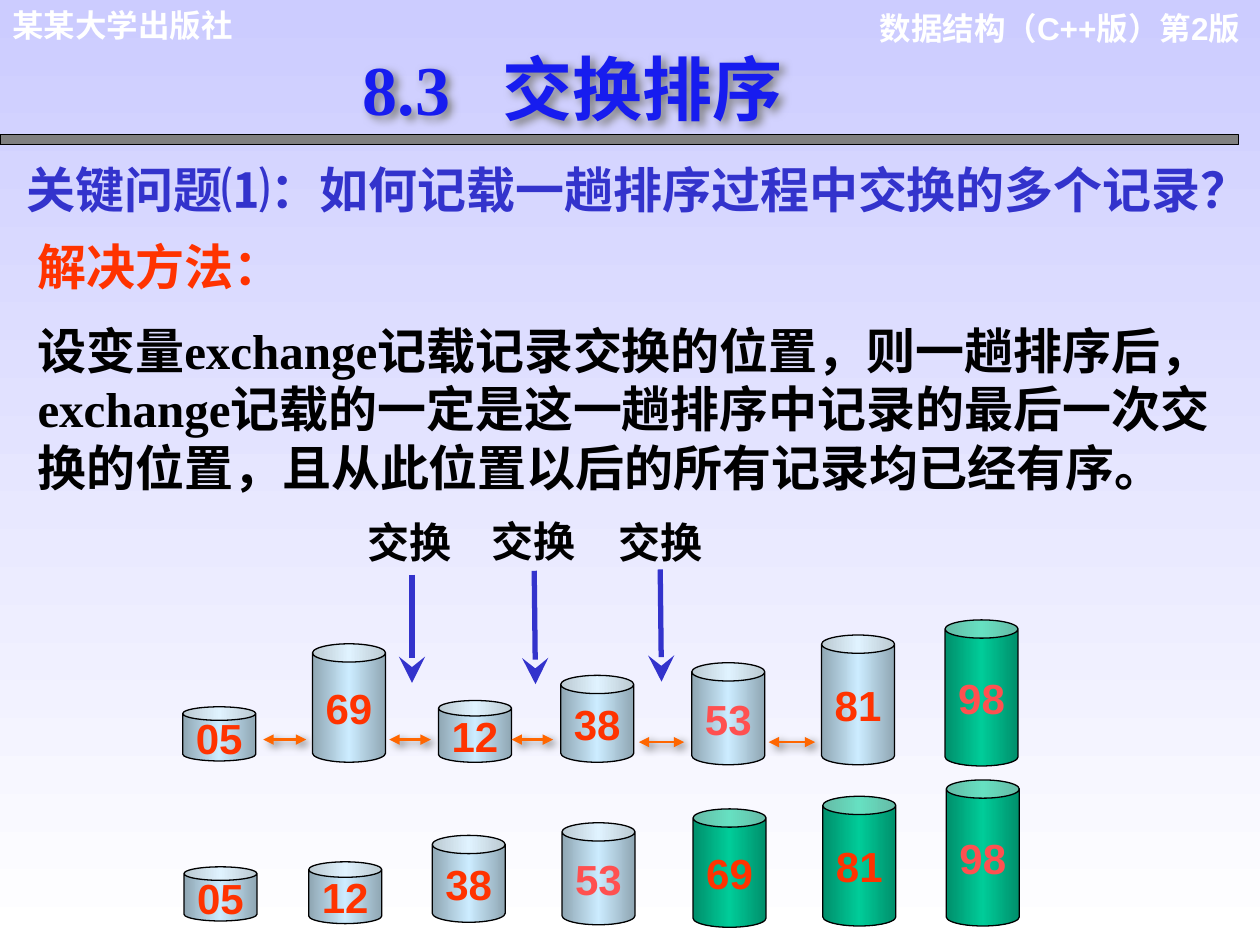
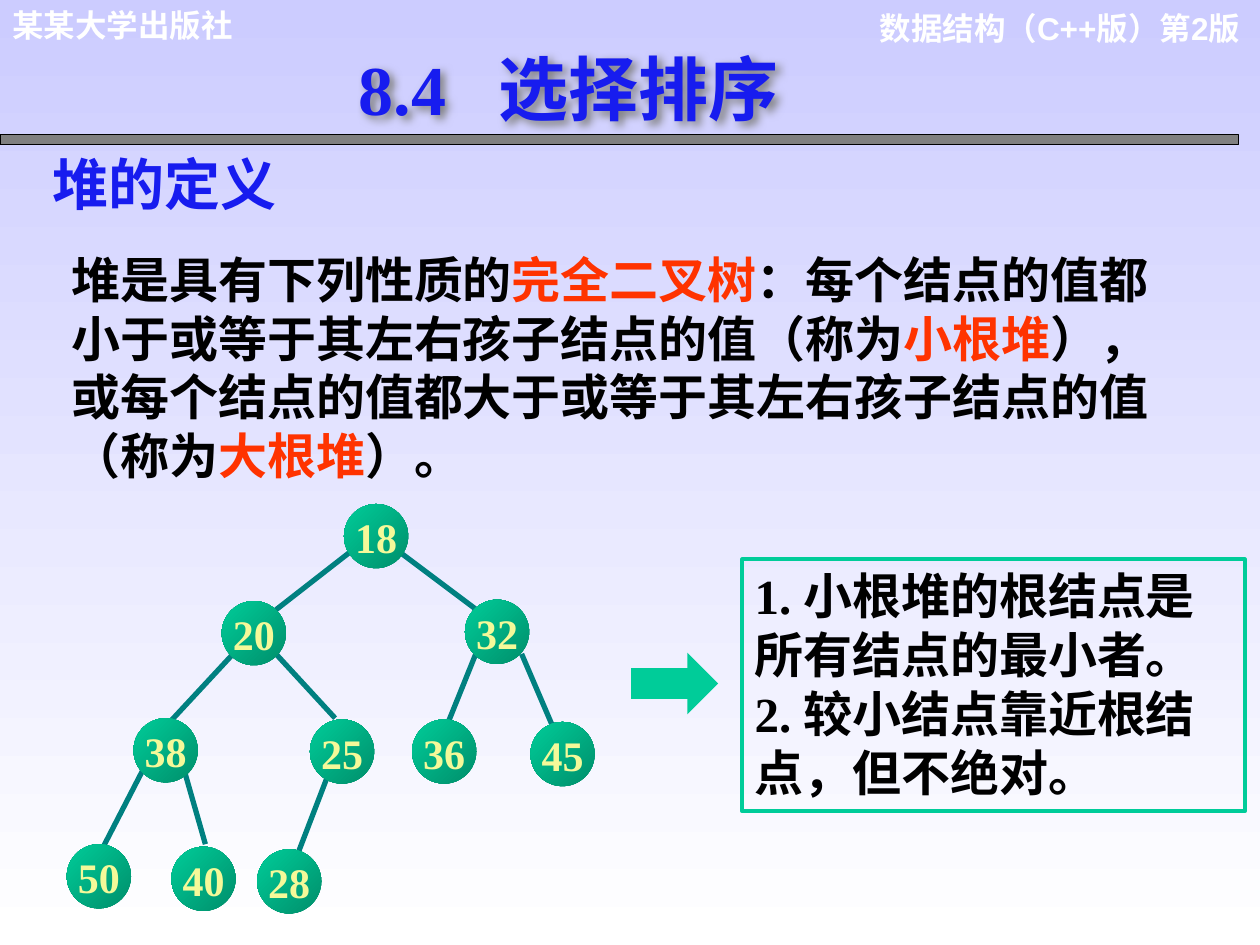
import pptx
import pptx.util
import pptx.dml.color
import pptx.enum.shapes
import pptx.enum.text
import pptx.oxml
import pptx.oxml.ns
import lxml.etree

prs = pptx.Presentation()
prs.slide_width = pptx.util.Inches(10)
prs.slide_height = pptx.util.Inches(7.5)
COL = prs.slide_width / 100
ROW = prs.slide_height / 75

Pt = pptx.util.Pt
RGB = pptx.dml.color.RGBColor.from_string
qn = pptx.oxml.ns.qn
SHAPE = pptx.enum.shapes.MSO_SHAPE
ALIGN = pptx.enum.text.PP_ALIGN
ANCHOR = pptx.enum.text.MSO_ANCHOR
SERIF, SANS = "Times New Roman", "Arial"
C = {
    "sky": "CCCCFF", "white": "FFFFFF", "black": "000000", "bar": "808080",
    "title": "171CEF", "question": "3333CC", "red": "FF3300", "pink": "FF5050",
    "orange": "FF6600", "steel": "8FA6B3", "ice": "CCECFF",
    "dark": "008F6B", "green": "00CC99", "edge": "008080", "key": "F4F999",
}
SHADOW = (
    '<a:effectLst xmlns:a="http://schemas.openxmlformats.org/drawingml/2006/main">'
    '<a:outerShdw blurRad="63500" dist="35560" dir="2700000" algn="ctr" rotWithShape="0">'
    f'<a:srgbClr val="{C["bar"]}"/></a:outerShdw></a:effectLst>'
)


def gradient(fill, element, colors, angle):
    fill.gradient()
    fill.gradient_angle = angle
    stops = next(element.iter(qn("a:gsLst")))
    for gs in list(stops):
        stops.remove(gs)
    for i, color in enumerate(colors):
        pos = str(100000 * i // (len(colors) - 1))
        gs = lxml.etree.SubElement(stops, qn("a:gs"), pos=pos)
        lxml.etree.SubElement(gs, qn("a:srgbClr"), val=C[color])


def write(sp, paragraphs, size, font, align=ALIGN.LEFT, anchor=ANCHOR.TOP, before=0):
    tf = sp.text_frame
    tf.word_wrap = True
    tf.vertical_anchor = anchor
    for i, runs in enumerate(paragraphs):
        p = tf.add_paragraph() if i else tf.paragraphs[0]
        p.alignment = align
        if i:
            p.space_before = Pt(before)
        for words, color in runs:
            r = p.add_run()
            r.text = words
            r.font.size = Pt(size)
            r.font.name = font
            r.font.bold = True
            r.font.color.rgb = RGB(C[color])
    return tf


slides = []
for title, left in (("8.3\t交换排序", 27.8), ("8.4\t选择排序", 27.5)):
    s = prs.slides.add_slide(prs.slide_layouts[6])
    slides.append(s)
    gradient(s.background.fill, s._element, ("sky", "white"), 270)
    sp = s.shapes.add_textbox(67.7 * COL, 0.2 * ROW, 31.7 * COL, 4 * ROW)
    write(sp, [[("数据结构（C++版）第2版", "white")]], 18, SANS, ALIGN.RIGHT)
    sp = s.shapes.add_textbox(0, 0, 27.1 * COL, 4 * ROW)
    write(sp, [[("某某大学出版社", "white")]], 18, SANS)
    sp = s.shapes.add_shape(SHAPE.RECTANGLE, 0, 10.7 * ROW, 98.3 * COL, 0.8 * ROW)
    sp.shadow.inherit = False
    sp.fill.solid()
    sp.fill.fore_color.rgb = RGB(C["bar"])
    sp.line.color.rgb = RGB(C["black"])
    sp.line.width = Pt(0.75)
    sp = s.shapes.add_textbox(left * COL, 3.1 * ROW, 39.5 * COL, 7.7 * ROW)
    pPr = sp.text_frame.paragraphs[0]._p.get_or_add_pPr()
    tabs = lxml.etree.SubElement(pPr, qn("a:tabLst"))
    lxml.etree.SubElement(tabs, qn("a:tab"), pos=str(int(11.1 * COL)), algn="l")
    write(sp, [[(title, "title")]], 40, SERIF)
    sp._element.spPr.append(pptx.oxml.parse_xml(SHADOW))

swap, heap = slides

sp = swap.shapes.add_textbox(2 * COL, 18.3 * ROW, 98 * COL, 22 * ROW)
write(sp, [
    [("解决方法：", "red")],
    [("设变量exchange记载记录交换的位置，则一趟排序后，exchange记载的一定是这一趟排序中"
      "记录的最后一次交换的位置，且从此位置以后的所有记录均已经有序。", "black")],
], 28, SERIF, before=14)
sp = swap.shapes.add_textbox(1.1 * COL, 12.2 * ROW, 100.9 * COL, 5.7 * ROW)
write(sp, [[("关键问题⑴：如何记载一趟排序过程中交换的多个记录？", "question")]], 28, SANS)

heights = {"05": 4.3, "12": 4.9, "38": 6.9, "53": 8.1, "69": 9.4, "81": 10.3, "98": 11.6}
passes = [
    (["98"], [("05", 14.5, 60.4), ("69", 24.8, 60.5), ("12", 34.8, 60.5), ("38", 44.5, 60.5),
              ("53", 54.9, 60.7), ("81", 65.2, 60.7), ("98", 75, 60.8)]),
    (["69", "81", "98"], [("05", 14.6, 73.1), ("12", 24.5, 73.3), ("38", 34.3, 73.2),
                          ("53", 44.6, 73.4), ("69", 55, 73.6), ("81", 65.3, 73.5),
                          ("98", 75.1, 73.5)]),
]
for ordered, cans in passes:
    for key, x, bottom in cans:
        h = heights[key]
        sp = swap.shapes.add_shape(SHAPE.CAN, x * COL, (bottom - h) * ROW, 5.8 * COL, h * ROW)
        sp.shadow.inherit = False
        sp.adjustments[0] = 0.25
        shades = ("dark", "green", "dark") if key in ordered else ("steel", "ice", "steel")
        gradient(sp.fill, sp._element, shades, 180)
        sp.line.color.rgb = RGB(C["black"])
        sp.line.width = Pt(0.75)
        color = "pink" if key in ("53", "98") else "red"
        tf = write(sp, [[(key, color)]], 24, SANS, ALIGN.CENTER, ANCHOR.MIDDLE)
        tf.word_wrap = False

for x, y in ((28.2, 40.5), (38, 40.4), (48.1, 40.5)):
    sp = swap.shapes.add_textbox(x * COL, y * ROW, 11.8 * COL, 5 * ROW)
    write(sp, [[("交换", "black")]], 24, SANS)

compares = [(20.9, 58.7, 24.3, 58.7), (30.9, 58.7, 34.2, 58.7), (40.6, 58.7, 43.9, 58.7),
            (50.7, 58.9, 54.3, 58.9), (61, 58.9, 64.7, 58.9)]
exchanges = [(32.7, 45.6, 32.7, 54.2), (42.4, 45.3, 42.5, 54.3), (52.4, 45.2, 52.5, 54.1)]
edges = [(27.8, 43.8, 21.9, 48.4), (31.7, 43.8, 37.7, 48.3), (18.5, 51.9, 13.3, 57.5),
         (21.9, 51.9, 26.6, 57), (37.8, 51.8, 35.5, 57.5), (41.4, 51.9, 43.8, 57.5),
         (11.4, 61, 8.1, 67.4), (14.7, 61.4, 16.3, 67), (26, 61.6, 23.2, 68.9)]
double = [("a:headEnd", "triangle", "med"), ("a:tailEnd", "triangle", "med")]
for s, lines, color, width, ends in (
    (swap, compares, "orange", 1.5, double),
    (swap, exchanges, "question", 3, [("a:tailEnd", "stealth", "lg")]),
    (heap, edges, "edge", 3, []),
):
    for x1, y1, x2, y2 in lines:
        sp = s.shapes.add_connector(pptx.enum.shapes.MSO_CONNECTOR.STRAIGHT,
                                    int(x1 * COL), int(y1 * ROW), int(x2 * COL), int(y2 * ROW))
        sp.line.color.rgb = RGB(C[color])
        sp.line.width = Pt(width)
        spPr = sp._element.spPr
        ln = spPr.find(qn("a:ln"))
        for tag, kind, scale in ends:
            lxml.etree.SubElement(ln, qn(tag), type=kind, w=scale, len=scale)
        if ends is double:
            spPr.append(pptx.oxml.parse_xml(SHADOW))
        else:
            lxml.etree.SubElement(spPr, qn("a:effectLst"))

sp = heap.shapes.add_textbox(3.2 * COL, 11.4 * ROW, 35 * COL, 6.3 * ROW)
write(sp, [[("堆的定义", "title")]], 32, SANS)
sp = heap.shapes.add_textbox(4.7 * COL, 19.3 * ROW, 89.6 * COL, 19.7 * ROW)
write(sp, [[
    ("堆是具有下列性质的", "black"), ("完全二叉树", "red"),
    ("：每个结点的值都小于或等于其左右孩子结点的值（称为", "black"), ("小根堆", "red"),
    ("），或每个结点的值都大于或等于其左右孩子结点的值（称为", "black"), ("大根堆", "red"),
    ("）。", "black"),
]], 28, SANS)

nodes = [("18", 27.3, 40), ("20", 17.6, 47.7), ("32", 36.9, 47.6), ("38", 10.6, 57),
         ("25", 24.6, 57.1), ("36", 32.7, 57.1), ("45", 42.1, 57.3),
         ("50", 5.3, 67), ("40", 13.6, 67.2), ("28", 20.4, 67.4)]
for key, x, y in nodes:
    sp = heap.shapes.add_shape(SHAPE.OVAL, x * COL, y * ROW, 5.1 * COL, 5.1 * ROW)
    sp.shadow.inherit = False
    gradient(sp.fill, sp._element, ("dark", "green"), 135)
    sp.line.fill.background()
    sp = heap.shapes.add_textbox((x - 0.45) * COL, (y + 0.3) * ROW, 5.9 * COL, 4.4 * ROW)
    tf = write(sp, [[(key, "key")]], 24, SERIF, ALIGN.CENTER)
    tf.margin_left, tf.margin_right = int(0.1 * COL), 0
    tf.margin_top, tf.margin_bottom = int(0.3 * ROW), int(0.1 * ROW)

sp = heap.shapes.add_shape(SHAPE.RECTANGLE, 58.9 * COL, 44.4 * ROW, 39.9 * COL, 20 * ROW)
sp.shadow.inherit = False
sp.fill.background()
sp.line.color.rgb = RGB(C["green"])
sp.line.width = Pt(2.25)
write(sp, [[("1. 小根堆的根结点是所有结点的最小者。", "black")],
           [("2. 较小结点靠近根结点，但不绝对。", "black")]], 28, SERIF)
sp = heap.shapes.add_shape(SHAPE.RIGHT_ARROW, 50.1 * COL, 51.8 * ROW, 6.9 * COL, 4.9 * ROW)
sp.shadow.inherit = False
sp.fill.solid()
sp.fill.fore_color.rgb = RGB(C["green"])
sp.line.fill.background()

prs.save("out.pptx")
